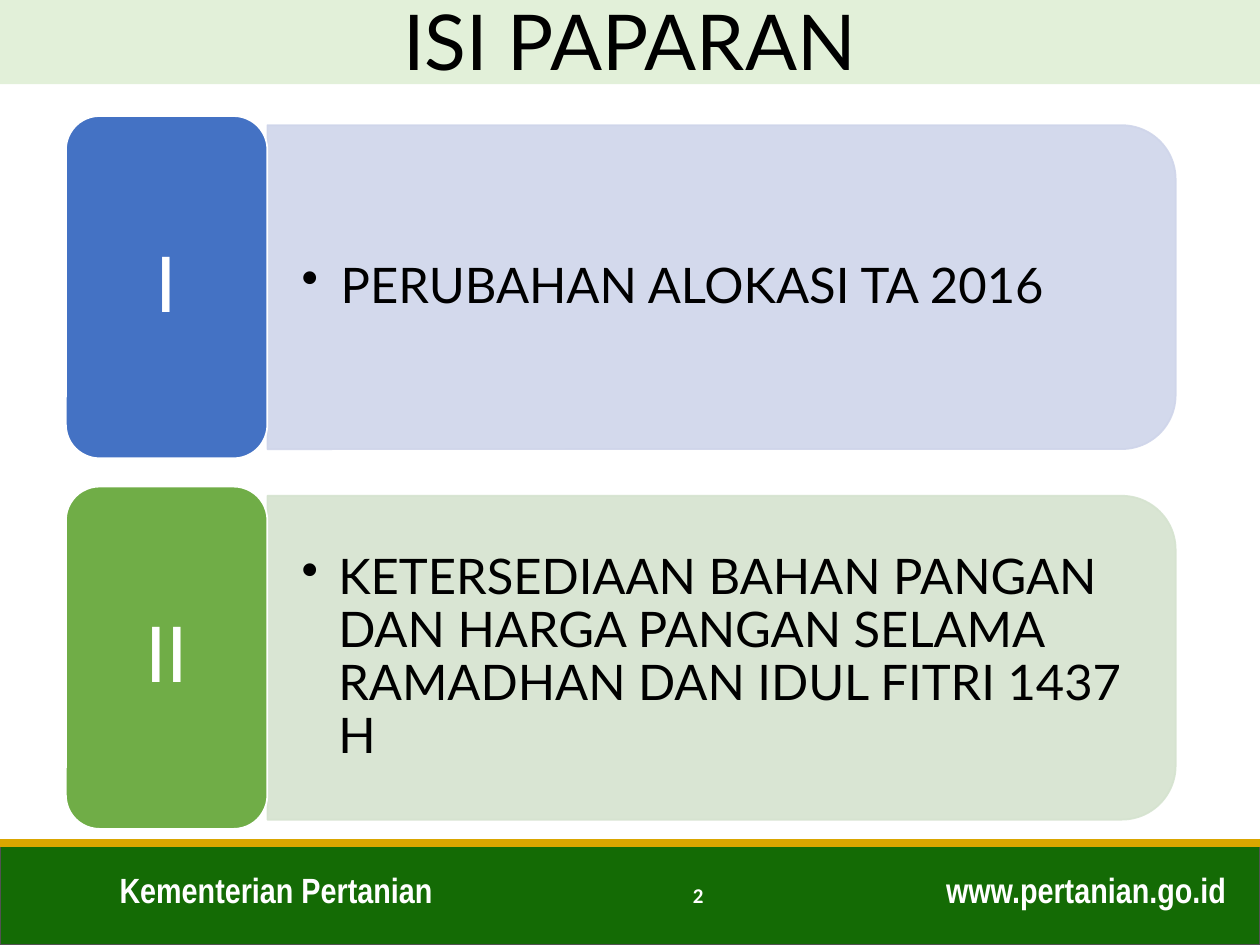
import pptx
import pptx.dml.color
import pptx.enum.shapes
import pptx.enum.text
import pptx.oxml.ns
import pptx.util
from lxml import etree

Cm = pptx.util.Cm
Pt = pptx.util.Pt
RGBColor = pptx.dml.color.RGBColor
Align = pptx.enum.text.PP_ALIGN
Anchor = pptx.enum.text.MSO_ANCHOR
Shape = pptx.enum.shapes.MSO_SHAPE
qn = pptx.oxml.ns.qn

WHITE = RGBColor(0xFF, 0xFF, 0xFF)
BLACK = RGBColor(0, 0, 0)
TITLE_GREEN = RGBColor(0xE2, 0xF0, 0xD9)
FOOTER_GREEN = RGBColor(0x14, 0x6B, 0x05)
FOOTER_EDGE = RGBColor(0x52, 0x52, 0x52)
GOLD = RGBColor(0xDA, 0xA6, 0x00)
BLUE = RGBColor(0x44, 0x72, 0xC4)
PALE_BLUE = RGBColor(0xCF, 0xD5, 0xEA)
GREEN = RGBColor(0x70, 0xAD, 0x47)
PALE_GREEN = RGBColor(0xD5, 0xE3, 0xCF)

SLIDE_WIDTH, SLIDE_HEIGHT = 25.4, 19.05


def write_text(shape, text, size, font="Lato", color=BLACK, bold=False, align=Align.LEFT,
               anchor=Anchor.MIDDLE, margins=(0.25, 0.13), line_spacing=None, bullet_indent=None):
    frame = shape.text_frame
    frame.word_wrap = True
    frame.vertical_anchor = anchor
    frame.margin_left = frame.margin_right = Cm(margins[0])
    frame.margin_top = frame.margin_bottom = Cm(margins[1])
    paragraph = frame.paragraphs[0]
    paragraph.alignment = align
    paragraph.line_spacing = line_spacing
    run = paragraph.add_run()
    run.text = text
    run.font.name = font
    run.font.size = Pt(size)
    run.font.bold = bold
    run.font.color.rgb = color
    if bullet_indent:
        properties = paragraph._p.get_or_add_pPr()
        properties.set("marL", str(Cm(bullet_indent)))
        properties.set("indent", str(-Cm(bullet_indent)))
        etree.SubElement(properties, qn("a:buChar"), char="•")


def add_box(slide, kind, left, top, width, height, fill, line=None, opacity=None):
    shape = slide.shapes.add_shape(kind, Cm(left), Cm(top), Cm(width), Cm(height))
    shape.shadow.inherit = False
    shape.fill.solid()
    shape.fill.fore_color.rgb = fill
    if line is None:
        shape.line.fill.background()
    else:
        shape.line.color.rgb = line
        shape.line.width = Pt(1)
    if opacity:
        for color in shape._element.spPr.iter(qn("a:srgbClr")):
            etree.SubElement(color, qn("a:alpha"), val=str(opacity * 1000))
    return shape


def add_text_box(slide, left, top, width, height, text, size, **text_format):
    shape = slide.shapes.add_textbox(Cm(left), Cm(top), Cm(width), Cm(height))
    write_text(shape, text, size, **text_format)


def add_footer(slide, left, top, width, height):
    add_box(slide, Shape.RECTANGLE, left, top, width, height, FOOTER_GREEN, FOOTER_EDGE)
    # Ministry name and web address
    style = dict(font="Arial Narrow", color=WHITE, bold=True, anchor=Anchor.TOP)
    add_text_box(slide, left + 2.16, top + 0.38, 9.3, 1.11, "Kementerian Pertanian", 20, **style)
    add_text_box(slide, left + width - 7.49, top + 0.38, 7.06, 1.11, "www.pertanian.go.id", 20,
                 align=Align.RIGHT, **style)
    # Gold rule along the top edge
    rule = slide.shapes.add_connector(pptx.enum.shapes.MSO_CONNECTOR.STRAIGHT,
                                      Cm(left), Cm(top), Cm(left + width), Cm(top))
    rule.line.color.rgb = GOLD
    rule.line.width = Pt(4.5)
    etree.SubElement(rule._element.spPr, qn("a:effectLst"))
    # Page number
    add_text_box(slide, left + 8.71, top + 0.54, 5.72, 1.02, "2", 12, font="Calibri",
                 color=WHITE, bold=True, align=Align.RIGHT)


def add_topic(slide, left, top, width, height, numeral, text, color, pale_color, bullet_indent):
    label_width, panel_height = 4.06, 6.53
    panel_left, panel_width = left + label_width, width - label_width
    # Panel rounded on the right: an upright shape turned a quarter about its centre
    center_x, center_y = panel_left + panel_width / 2, top + height / 2
    panel = add_box(slide, Shape.ROUND_2_SAME_RECTANGLE, center_x - panel_height / 2,
                    center_y - panel_width / 2, panel_height, panel_width,
                    pale_color, pale_color, opacity=90)
    panel.rotation = 90
    add_text_box(slide, panel_left, center_y - 2.95, panel_width - 0.3, 5.9, text, 28,
                 margins=(0.69, 0.36), line_spacing=0.9, bullet_indent=bullet_indent)
    # Numeral
    label = add_box(slide, Shape.ROUNDED_RECTANGLE, left, top, label_width, height, color, WHITE)
    write_text(label, numeral, 44, color=WHITE, align=Align.CENTER,
               margins=(0.46, 0.23), line_spacing=0.9)


def add_title(slide, left, top, width, height):
    band = add_box(slide, Shape.RECTANGLE, left, top, width, height, TITLE_GREEN)
    write_text(band, "ISI PAPARAN", 44, align=Align.CENTER)


def main():
    presentation = pptx.Presentation()
    presentation.slide_width, presentation.slide_height = Cm(SLIDE_WIDTH), Cm(SLIDE_HEIGHT)
    slide = presentation.slides.add_slide(presentation.slide_layouts[6])

    add_footer(slide, 0, 17, SLIDE_WIDTH, SLIDE_HEIGHT - 17)
    topics = [
        ("I", "PERUBAHAN ALOKASI TA 2016", BLUE, PALE_BLUE, 0.79),
        ("II", "KETERSEDIAAN BAHAN PANGAN DAN HARGA PANGAN SELAMA RAMADHAN DAN IDUL FITRI 1437 H",
         GREEN, PALE_GREEN, 0.74),
    ]
    for index, topic in enumerate(topics):
        add_topic(slide, 1.33, 2.34 + index * 7.47, 22.37, 6.9, *topic)
    add_title(slide, 0, -0.08, SLIDE_WIDTH, 1.78)

    presentation.save("out.pptx")


if __name__ == "__main__":
    main()
